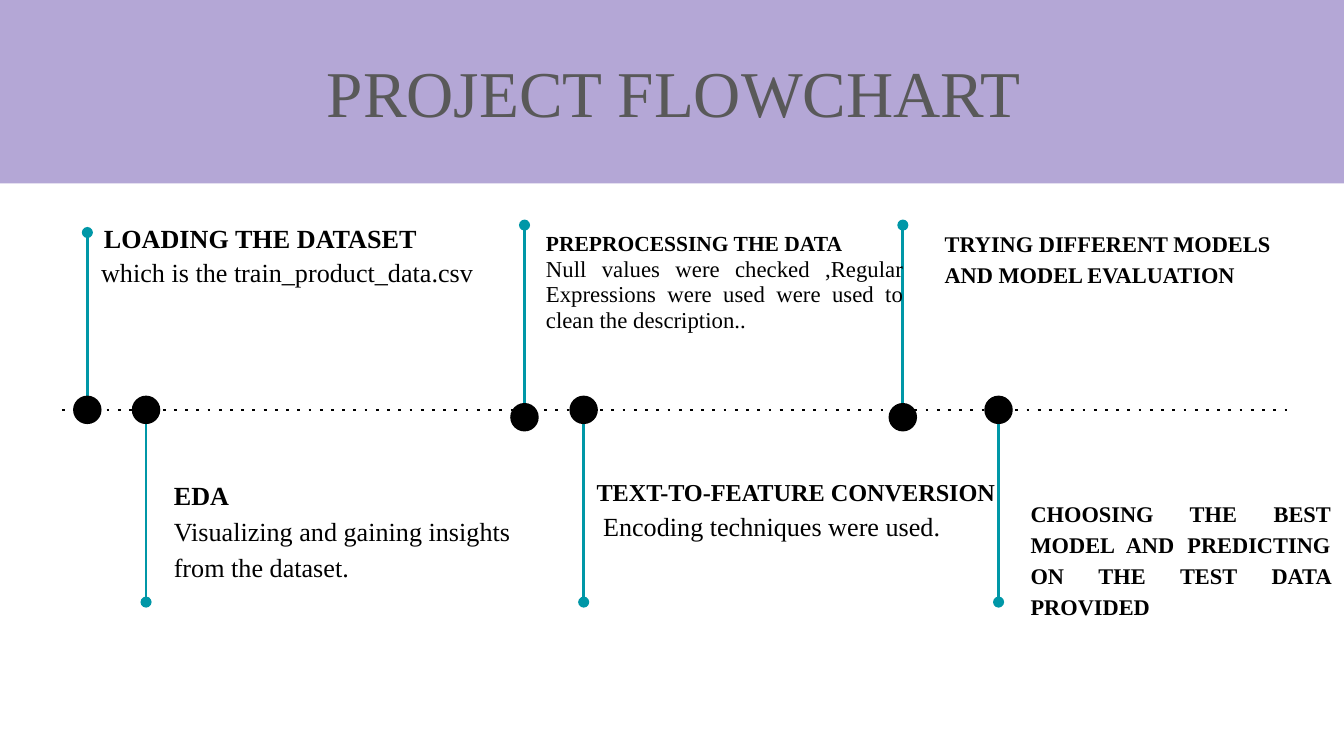
"""Builds the project flowchart timeline slide."""
from lxml import etree
from pptx import Presentation
from pptx.dml.color import RGBColor
from pptx.enum import shapes, text
from pptx.oxml.ns import qn
from pptx.util import Inches, Pt

HUES = {"ink": "000000", "stem": "0097A7", "band": "B4A7D6", "title": "595959"}
FONT = "Times New Roman"
COLS, ROWS = 100, 56.25
AXIS, DOT = 30.5, 2.12
LEFT, JUST = text.PP_ALIGN.LEFT, text.PP_ALIGN.JUSTIFY

# centre column, row of the dot's centre, row of the stem's tip
STEPS = [
    (6.5, AXIS, 17.3), (10.87, AXIS, 44.8), (39.03, AXIS + 0.55, 16.75),
    (43.43, AXIS, 44.8), (67.18, AXIS + 0.55, 16.75), (74.3, AXIS, 44.8),
]

# box, line spacing, paragraphs as (words, size, bold, alignment)
NOTES = [
    ((6.74, 15.8, 32.9, 4.3), 0.9, [("LOADING THE DATASET", 14, True, LEFT)]),
    ((6.54, 17.75, 32.1, 5), 1.15,
     [("which is the train_product_data.csv", 14, False, LEFT)]),
    ((11.95, 34.35, 29.1, 10.6), 1.15,
     [("EDA", 14, True, LEFT),
      ("Visualizing and gaining insights from the dataset.", 14, False, LEFT)]),
    ((39.64, 16.25, 28.6, 10.6), 0.95,
     [("PREPROCESSING THE DATA", 11.5, True, LEFT),
      ("Null values were checked ,Regular Expressions were used "
       "were used to clean the description..", 12.2, False, JUST)]),
    ((43.4, 34.16, 32.1, 10.6), 1.15,
     [("TEXT-TO-FEATURE CONVERSION", 13, True, LEFT),
      (" Encoding techniques were used.", 14, False, LEFT)]),
    ((69.3, 15.84, 26.5, 9.5), 1.15,
     [("TRYING DIFFERENT MODELS AND MODEL EVALUATION", 12, True, LEFT)]),
    ((75.7, 35.94, 24.3, 12), 1.15,
     [("CHOOSING THE BEST MODEL AND PREDICTING ON THE TEST DATA PROVIDED",
       12, True, JUST)]),
]


def cell(*spans):
    """Turn grid spans of a tenth of an inch into lengths."""
    return [Inches(span / 10) for span in spans]


def hue(name):
    """Look up a colour by its role."""
    return RGBColor.from_string(HUES[name])


def add_line(slide, ends, name, tag, **marks):
    """Draw a straight line with one extra line property."""
    line = slide.shapes.add_connector(shapes.MSO_CONNECTOR.STRAIGHT, *cell(*ends))
    line.line.color.rgb = hue(name)
    line.line.width = Pt(1.5)
    props = line._element.spPr
    etree.SubElement(props.find(qn("a:ln")), qn(tag), **marks)
    etree.SubElement(props, qn("a:effectLst"))


def add_form(slide, kind, box, name):
    """Draw a flat filled shape."""
    form = slide.shapes.add_shape(kind, *cell(*box))
    form.shadow.inherit = False
    form.fill.solid()
    form.fill.fore_color.rgb = hue(name)
    form.line.fill.background()
    return form


def set_frame(frame):
    """Give a text frame its wrapping and insets."""
    frame.word_wrap = True
    frame.margin_left = frame.margin_right = Inches(0.1)
    frame.margin_top = frame.margin_bottom = Inches(0.1)


def set_font(para, size, bold, name):
    """Style the font of a whole paragraph."""
    para.font.name = FONT
    para.font.size = Pt(size)
    para.font.bold = bold
    para.font.color.rgb = hue(name)


def add_step(slide, mid, row, tip):
    """Draw a dot by the axis and its stem with a round tip."""
    base = row + DOT / 2 if tip > row else row - DOT / 2
    add_line(slide, (mid, base, mid, tip), "stem", "a:tailEnd", type="oval")
    box = (mid - DOT / 2, row - DOT / 2, DOT, DOT)
    add_form(slide, shapes.MSO_SHAPE.OVAL, box, "ink")


def add_note(slide, box, space, paras):
    """Write the heading and text of a step."""
    frame = slide.shapes.add_textbox(*cell(*box)).text_frame
    set_frame(frame)
    for i, (words, size, bold, align) in enumerate(paras):
        para = frame.add_paragraph() if i else frame.paragraphs[0]
        para.text = words
        para.alignment = align
        para.line_spacing = space
        set_font(para, size, bold, "ink")


def add_title(slide):
    """Draw the band and the title on it."""
    rect = shapes.MSO_SHAPE.RECTANGLE
    add_form(slide, rect, (0, 0, COLS, 13.65), "band")
    frame = add_form(slide, rect, (21.65, 2.5, 57, 8.6), "band").text_frame
    set_frame(frame)
    frame.vertical_anchor = text.MSO_ANCHOR.MIDDLE
    para = frame.paragraphs[0]
    para.text = "PROJECT FLOWCHART"
    para.alignment = text.PP_ALIGN.CENTER
    set_font(para, 35, False, "title")


def main():
    """Build and save the slide."""
    deck = Presentation()
    deck.slide_width, deck.slide_height = cell(COLS, ROWS)
    slide = deck.slides.add_slide(deck.slide_layouts[6])
    add_line(slide, (4.6, AXIS, 95.8, AXIS), "ink", "a:prstDash", val="dot")
    for step in STEPS:
        add_step(slide, *step)
    for note in NOTES:
        add_note(slide, *note)
    add_title(slide)
    deck.save("out.pptx")


if __name__ == "__main__":
    main()
